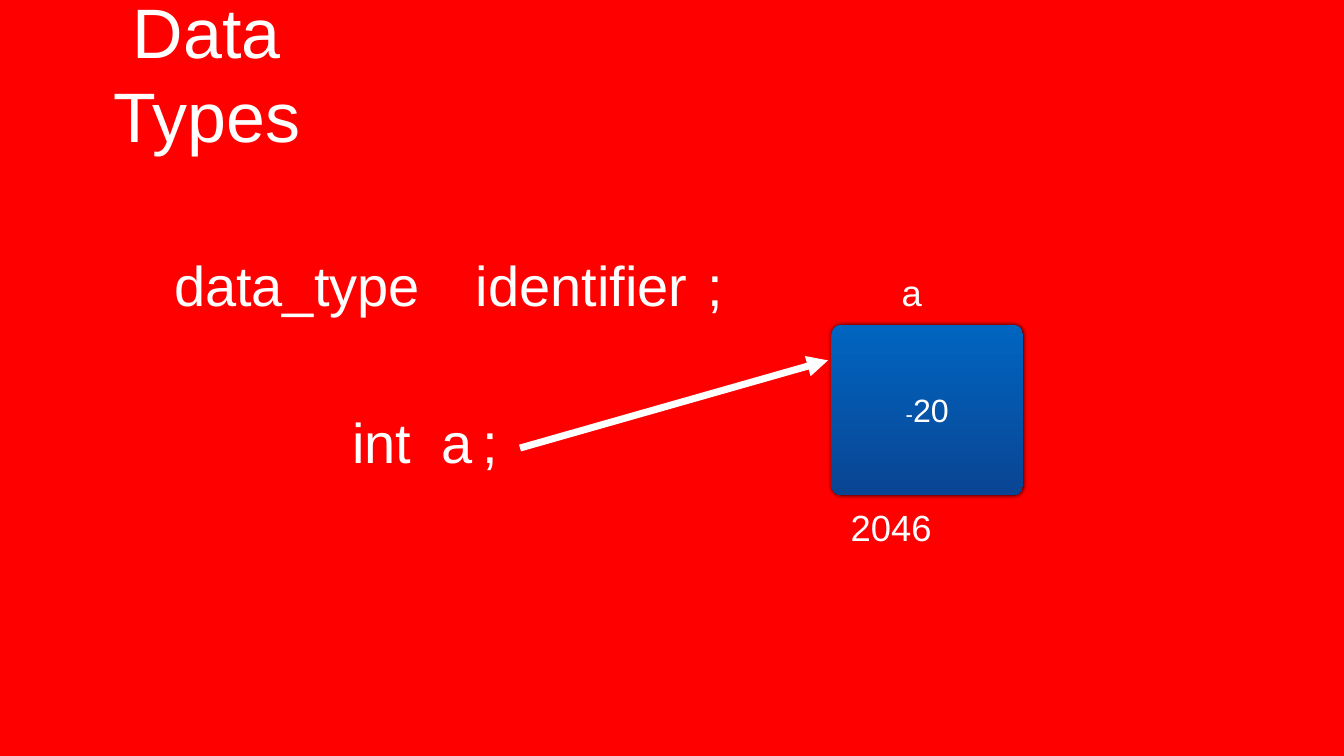
from pptx import Presentation
from pptx.dml.color import RGBColor
from pptx.enum.shapes import MSO_CONNECTOR as Connector, MSO_SHAPE as Shape
from pptx.enum.text import MSO_ANCHOR as Anchor, MSO_AUTO_SIZE as AutoSize, PP_ALIGN as Align
from pptx.oxml.ns import qn
from pptx.oxml.xmlchemy import OxmlElement
from pptx.util import Inches, Pt

RED = RGBColor(0xFF, 0x00, 0x00)
WHITE = RGBColor(0xFF, 0xFF, 0xFF)
BLUE_TOP = RGBColor(0x00, 0x65, 0xC1)
BLUE_BOTTOM = RGBColor(0x09, 0x45, 0x93)
FONT = "Arial"


def add_element(parent, tag, **attributes):
    child = OxmlElement(tag)
    for name, value in attributes.items():
        child.set(name, str(value))
    parent.append(child)
    return child


class Page:
    """The current slide and its text style."""

    def __init__(self, deck):
        self.slide = deck.slides.add_slide(deck.slide_layouts[5])
        background = self.slide.background.fill
        background.solid()
        background.fore_color.rgb = RED

    def set_text(self, box, spans):
        """Fill a shape with centred white spans of (text, size)."""
        frame = box.text_frame
        frame.vertical_anchor = Anchor.MIDDLE
        frame.margin_left = frame.margin_right = Inches(0.06)
        frame.margin_top = frame.margin_bottom = Inches(0.06)
        para = frame.paragraphs[0]
        para.alignment = Align.CENTER
        for text, size in spans:
            span = para.add_run()
            span.text = text
            span.font.name = FONT
            span.font.size = Pt(size)
            span.font.color.rgb = WHITE

    def fit(self, box):
        box.text_frame.word_wrap = False
        box.text_frame.auto_size = AutoSize.SHAPE_TO_FIT_TEXT

    def title(self, text, left, top, width, height):
        box = self.slide.shapes.title
        box.left, box.top = Inches(left), Inches(top)
        box.width, box.height = Inches(width), Inches(height)
        self.set_text(box, [(text, 100)])
        self.fit(box)

    def label(self, text, size, left, top, width, height):
        box = self.slide.shapes.add_textbox(
            Inches(left), Inches(top), Inches(width), Inches(height))
        self.set_text(box, [(text, size)])
        self.fit(box)

    def arrow(self, start, end):
        line = self.slide.shapes.add_connector(
            Connector.STRAIGHT, *map(Inches, start + end))
        line.line.color.rgb = WHITE
        line.line.width = Pt(10)
        properties = line._element.spPr
        add_element(properties.find(qn("a:ln")), "a:tailEnd", type="triangle")
        add_element(properties, "a:effectLst")

    def memory_cell(self, spans, left, top, width, height):
        cell = self.slide.shapes.add_shape(
            Shape.ROUNDED_RECTANGLE,
            Inches(left), Inches(top), Inches(width), Inches(height))
        cell.adjustments[0] = 0.06
        cell.fill.gradient()
        cell.fill.gradient_angle = 270
        for stop, color, position in zip(
                cell.fill.gradient_stops, (BLUE_TOP, BLUE_BOTTOM), (0, 1)):
            stop.color.rgb = color
            stop.position = position
        cell.line.fill.background()
        # Soft black glow around the cell
        cell.shadow.inherit = False
        effects = cell._element.spPr.find(qn("a:effectLst"))
        shadow = add_element(effects, "a:outerShdw", blurRad=Pt(6), dist=0,
                             dir=315 * 60000, rotWithShape=0)
        black = add_element(shadow, "a:srgbClr", val="000000")
        add_element(black, "a:alpha", val=80000)
        self.set_text(cell, spans)


def main():
    deck = Presentation()
    deck.slide_width, deck.slide_height = Inches(26.67), Inches(15)
    page = Page(deck)
    page.title("Data Types", 0.55, 0.55, 7.11, 1.78)

    # Declaration syntax and its example: top of row, then (text, left, width)
    rows = {
        4.91: [("data_type", 3.36, 5.07), ("identifier", 9.35, 4.39), (";", 13.97, 0.43)],
        8.04: [("int", 6.93, 1.3), ("a", 8.71, 0.74), (";", 9.52, 0.43)],
    }
    for top, words in rows.items():
        for text, left, width in words:
            page.label(text, 80, left, top, width, 1.44)

    # Variable in memory, with its name and address
    page.arrow((10.32, 8.89), (16.43, 7.15))
    page.memory_cell([("-", 32), ("20", 46)], 16.5, 6.44, 3.8, 3.38)
    page.label("2046", 52, 16.82, 9.98, 1.73, 0.97)
    page.label("a", 52, 17.83, 5.3, 0.53, 0.97)

    deck.save("out.pptx")


if __name__ == "__main__":
    main()
